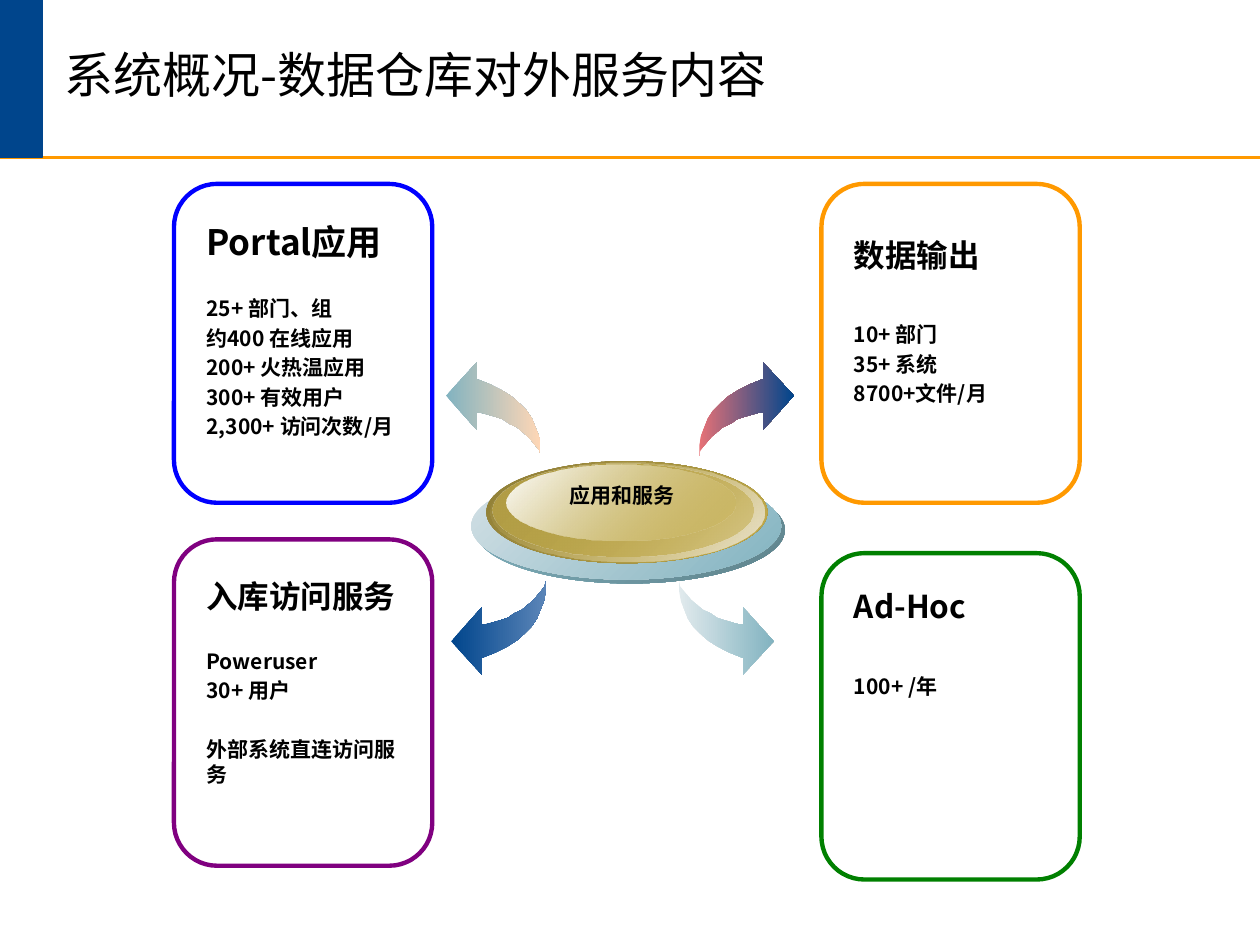
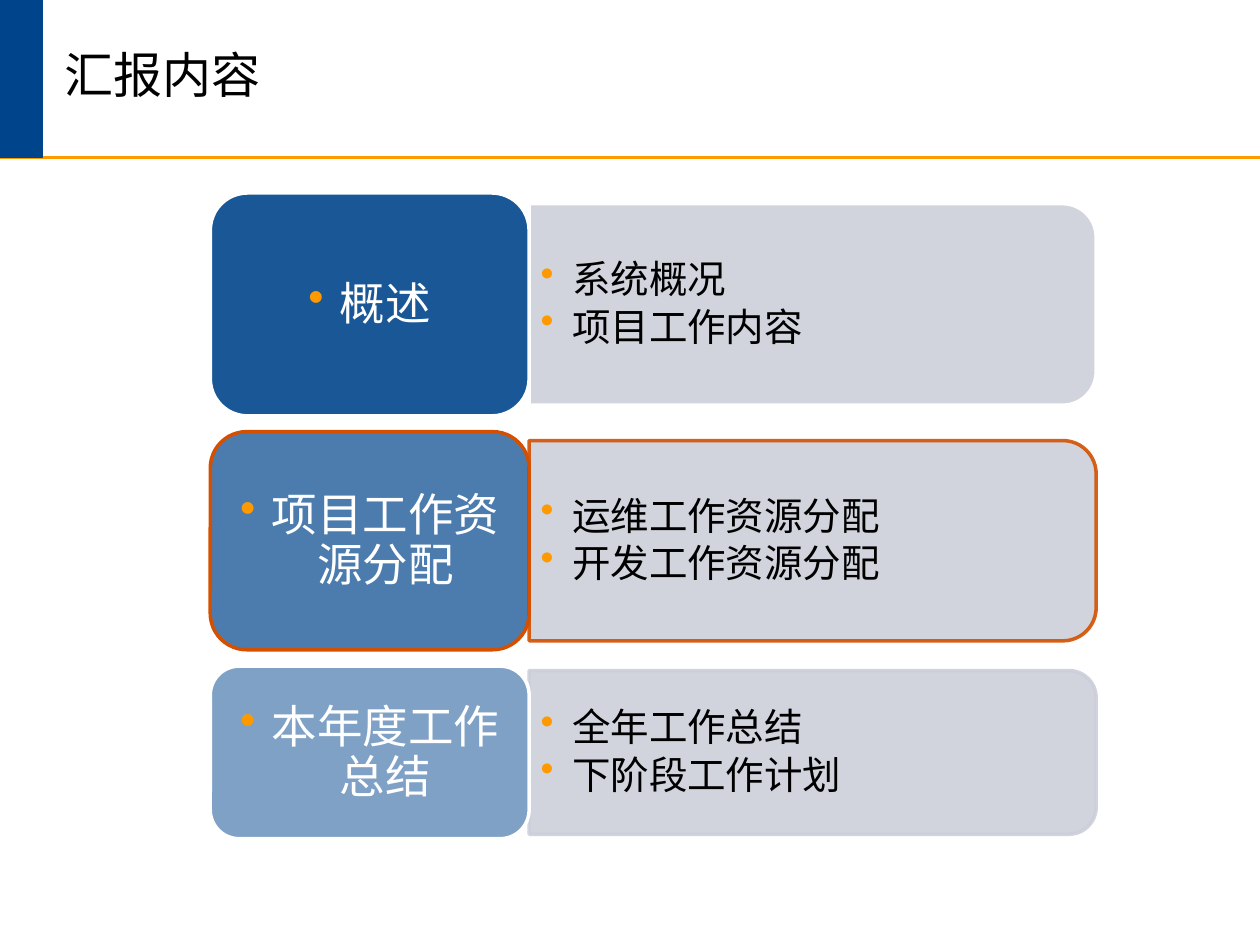
"""Build two slides on data warehouse services and the report outline."""
from dataclasses import dataclass

from lxml.etree import SubElement
from pptx import Presentation
from pptx.dml.color import RGBColor
from pptx.enum.shapes import MSO_CONNECTOR, MSO_SHAPE
from pptx.enum.text import MSO_ANCHOR, PP_ALIGN
from pptx.oxml.ns import qn
from pptx.util import Pt


@dataclass(frozen=True)
class Theme:
    """Colours, font and type sizes shared by the slides."""

    font: str = "Noto Sans CJK SC"
    navy: str = "00458C"
    orange: str = "FF9900"
    rust: str = "D45000"
    panel: str = "CCCFDA"
    white: str = "FFFFFF"
    black: str = "000000"
    teal: str = "82B3C0"
    gold: str = "C5AE4C"
    title_size: int = 28
    topic_size: int = 26
    item_size: int = 22
    body_size: int = 12
    line_height: float = 1.2
    bullet_indent: int = 18


class Deck:
    """Holds the theme, the presentation and the current slide."""

    def __init__(self, theme):
        """Open an empty presentation of 10 by 7.5 inches."""
        self.theme = theme
        self.presentation = Presentation()
        self.presentation.slide_width = Pt(720)
        self.presentation.slide_height = Pt(540)
        self.slide = None

    def add_slide(self, title):
        """Start a slide with its rule, corner block and title."""
        theme = self.theme
        self.slide = self.presentation.slides.add_slide(self.presentation.slide_layouts[6])
        self.rule(90)
        self.shape(MSO_SHAPE.RECTANGLE, (0, 0, 24, 90), theme.navy, (theme.navy, 1))
        frame = self.text_box((30, 0, 672, 90), MSO_ANCHOR.MIDDLE)
        self.paragraph(frame, title, theme.title_size, spacing=0.85)

    def rule(self, top):
        """Draw the orange line across the slide."""
        connector = self.slide.shapes.add_connector(
            MSO_CONNECTOR.STRAIGHT, 0, Pt(top), Pt(720), Pt(top))
        connector.line.color.rgb = RGBColor.from_string(self.theme.orange)
        connector.line.width = Pt(1.5)
        SubElement(connector._element.spPr, qn("a:effectLst"))

    def shape(self, kind, box, fill=None, line=None, angle=0, alphas=()):
        """Add a preset shape and paint it."""
        shape = self.slide.shapes.add_shape(kind, *map(Pt, box))
        self.paint(shape, fill, line, angle, alphas)
        return shape

    def paint(self, shape, fill, line=None, angle=0, alphas=()):
        """Set a plain or two-colour fill, the line and the opacities."""
        shape.shadow.inherit = False
        if fill is None:
            shape.fill.background()
        elif isinstance(fill, str):
            shape.fill.solid()
            shape.fill.fore_color.rgb = RGBColor.from_string(fill)
        else:
            shape.fill.gradient()
            shape.fill.gradient_angle = angle
            for stop, position, colour in zip(shape.fill.gradient_stops, (0, 1), fill):
                stop.position = position
                stop.color.rgb = RGBColor.from_string(colour)
        if line:
            colour, width = line
            shape.line.color.rgb = RGBColor.from_string(colour)
            shape.line.width = Pt(width)
        else:
            shape.line.fill.background()
        for colour, alpha in zip(shape._element.spPr.iter(qn("a:srgbClr")), alphas):
            SubElement(colour, qn("a:alpha"), val=str(alpha * 1000))

    def side_panel(self, left, centre, width, height, line, alphas):
        """Add a panel whose rounded corners face right."""
        box = (left + (width - height) / 2, centre - width / 2, height, width)
        shape = self.shape(MSO_SHAPE.ROUND_2_SAME_RECTANGLE, box,
                           self.theme.panel, (line, 2), alphas=alphas)
        shape.rotation = 90

    def curved_arrow(self, tail, direction, tail_colour, tip_colour):
        """Add a curved arrow mirrored to its direction."""
        points = [(tail[0] + x * direction[0], tail[1] + y * direction[1])
                  for x, y in ARROW_OUTLINE]
        points = [(Pt(x), Pt(y)) for x, y in points]
        builder = self.slide.shapes.build_freeform(*points[0])
        builder.add_line_segments(points[1:], close=True)
        colours = (tail_colour, tip_colour)
        self.paint(builder.convert_to_shape(), colours[::direction[0]])

    def text_box(self, box, anchor=MSO_ANCHOR.TOP, wrap=True, side=7.2, right=None):
        """Add an empty text box and return its text frame."""
        frame = self.slide.shapes.add_textbox(*map(Pt, box)).text_frame
        frame.word_wrap = wrap
        frame.vertical_anchor = anchor
        frame.margin_left = Pt(side)
        frame.margin_right = Pt(side if right is None else right)
        return frame

    def paragraph(self, frame, text, size, colour=None, bold=False, align=PP_ALIGN.LEFT,
                  spacing=None, before=0, after=0, bullet=False):
        """Append a styled paragraph to a text frame."""
        theme = self.theme
        first = frame.paragraphs[0]
        paragraph = frame.add_paragraph() if first.runs else first
        paragraph.add_run().text = text
        paragraph.alignment = align
        paragraph.line_spacing = spacing or Pt(size * theme.line_height)
        if before:
            paragraph.space_before = Pt(before)
        if after:
            paragraph.space_after = Pt(after)
        properties = paragraph._p.get_or_add_pPr()
        if bullet:
            properties.set("marL", str(Pt(theme.bullet_indent)))
            properties.set("indent", str(-Pt(theme.bullet_indent)))
            bullet_colour = SubElement(properties, qn("a:buClr"))
            SubElement(bullet_colour, qn("a:srgbClr"), val=theme.orange)
            SubElement(properties, qn("a:buChar"), char="•")
        paragraph.font.size = Pt(size)
        paragraph.font.bold = bold
        paragraph.font.color.rgb = RGBColor.from_string(colour or theme.black)
        paragraph.font.name = theme.font
        SubElement(properties.find(qn("a:defRPr")), qn("a:ea"), typeface=theme.font)

    def service_card(self, box, colour, text_offset, heading, heading_size, gap, groups):
        """Add an outlined card with a heading and groups of lines."""
        self.shape(MSO_SHAPE.ROUNDED_RECTANGLE, box, line=(colour, 2.5))
        left, top, _, height = box
        frame = self.text_box((left + 11.5, top + text_offset, 130.3, height - 2 * text_offset),
                              right=5)
        self.paragraph(frame, heading, heading_size, bold=True)
        size = self.theme.body_size
        for group in groups:
            for index, line in enumerate(group):
                extra = 0 if index else gap * (self.theme.line_height + 0.2)
                self.paragraph(frame, line, size, bold=True, before=0.2 * size + extra)
            gap = size

    def outline_row(self, centre, card_height, panel_height, topic, items,
                    opacity, card_line, panel_line, line_opacity):
        """Add a topic card with its panel of bullet items."""
        theme = self.theme
        self.side_panel(302.4, centre, 324, panel_height, panel_line, (90, line_opacity))
        frame = self.text_box((302.4, centre - panel_height / 2 + 6, 318, panel_height - 12),
                              MSO_ANCHOR.MIDDLE, side=6.6)
        for item in items:
            self.paragraph(frame, item, theme.item_size, spacing=Pt(theme.item_size * 1.08),
                           after=theme.item_size * 0.15, bullet=True)
        top = centre - card_height / 2
        self.shape(MSO_SHAPE.ROUNDED_RECTANGLE, (120.2, top, 182.2, card_height),
                   theme.navy, (card_line, 2), alphas=(opacity,))
        frame = self.text_box((126.2, top + 6, 170.2, card_height - 12),
                              MSO_ANCHOR.MIDDLE, side=8)
        self.paragraph(frame, topic, theme.topic_size, theme.white, align=PP_ALIGN.CENTER,
                       spacing=Pt(theme.topic_size * 1.1), bullet=True)


ARROW_OUTLINE = [
    (0, 0), (0, 6), (1, 11.5), (3, 16.5), (5, 21.5), (8, 26), (12, 30), (16.5, 34),
    (22, 37.5), (29, 41), (36.5, 44), (36.5, 53.5), (54, 34.5), (36.5, 15), (36.5, 25),
    (33, 24.5), (29.5, 23.5), (26, 22.5), (21.5, 21), (18, 18.5), (13.5, 16.5),
    (10, 13.5), (7, 11), (4.5, 8), (2, 5), (0.5, 3),
]


def build_services(deck):
    """Build the slide of services around the central disc."""
    theme = deck.theme
    deck.add_slide("系统概况-数据仓库对外服务内容")
    deck.curved_arrow((311.8, 332), (-1, 1), "5B85B8", theme.navy)
    disc_layers = [
        ((271.4, 272.2, 177.1, 61.2), (theme.teal, "5F838C"), ()),
        ((269.3, 270, 177.1, 61.2), ("D4E1E6", theme.teal), ()),
        ((277.9, 263.5, 160.6, 58.3), ("8D7C36", theme.gold), ()),
        ((280.1, 264.2, 157, 56.9), (theme.gold, "EDE7D7"), (0, 100)),
        ((281.5, 265, 149, 53.3), ("B29D45", theme.gold), (100, 48)),
        ((289.4, 265.7, 131, 43.2), (theme.white, theme.gold), (100, 38)),
    ]
    for box, colours, alphas in disc_layers:
        deck.shape(MSO_SHAPE.OVAL, box, colours, angle=315, alphas=alphas)
    frame = deck.text_box((318.2, 272.2, 74.9, 21.6), MSO_ANCHOR.MIDDLE, wrap=False)
    deck.paragraph(frame, "应用和服务", theme.body_size, bold=True, align=PP_ALIGN.CENTER)
    deck.curved_arrow((388.1, 332), (1, 1), "E1EAED", theme.teal)
    deck.curved_arrow((399.6, 260.6), (1, -1), "E77176", theme.navy)
    deck.curved_arrow((308.9, 260.6), (-1, -1), "FFD7B6", theme.teal)

    left, right, width = 99.4, 469.4, 147.6
    deck.service_card((right, 105.1, width, 182.2), theme.orange, 26, "数据输出", 18, 18,
                      [["10+ 部门", "35+ 系统", "8700+文件/月"]])
    deck.service_card((left, 105.1, width, 182.2), "0000FF", 17.3, "Portal应用", 20, 12,
                      [["25+ 部门、组", "约400 在线应用", "200+ 火热温应用",
                        "300+ 有效用户", "2,300+ 访问次数/月"]])
    deck.service_card((right, 316.1, width, 186.5), "008000", 16, "Ad-Hoc", 18, 18,
                      [["100+ /年"]])
    deck.service_card((left, 308.2, width, 186.5), "800080", 18, "入库访问服务", 18, 12,
                      [["Poweruser", "30+ 用户"], ["外部系统直连访问服务"]])


def build_outline(deck):
    """Build the slide that lists the report topics."""
    theme = deck.theme
    deck.add_slide("汇报内容")
    deck.outline_row(174, 127.4, 115.2, "概述", ["系统概况", "项目工作内容"],
                     90, theme.white, theme.white, 100)
    deck.outline_row(309, 124.6, 114.5, "项目工作资源分配",
                     ["运维工作资源分配", "开发工作资源分配"],
                     70, theme.rust, theme.rust, 90)
    deck.outline_row(430, 98.6, 93.6, "本年度工作总结", ["全年工作总结", "下阶段工作计划"],
                     50, theme.white, theme.panel, 90)


def main():
    """Build both slides and save the file."""
    deck = Deck(Theme())
    build_services(deck)
    build_outline(deck)
    deck.presentation.save("out.pptx")


if __name__ == "__main__":
    main()
